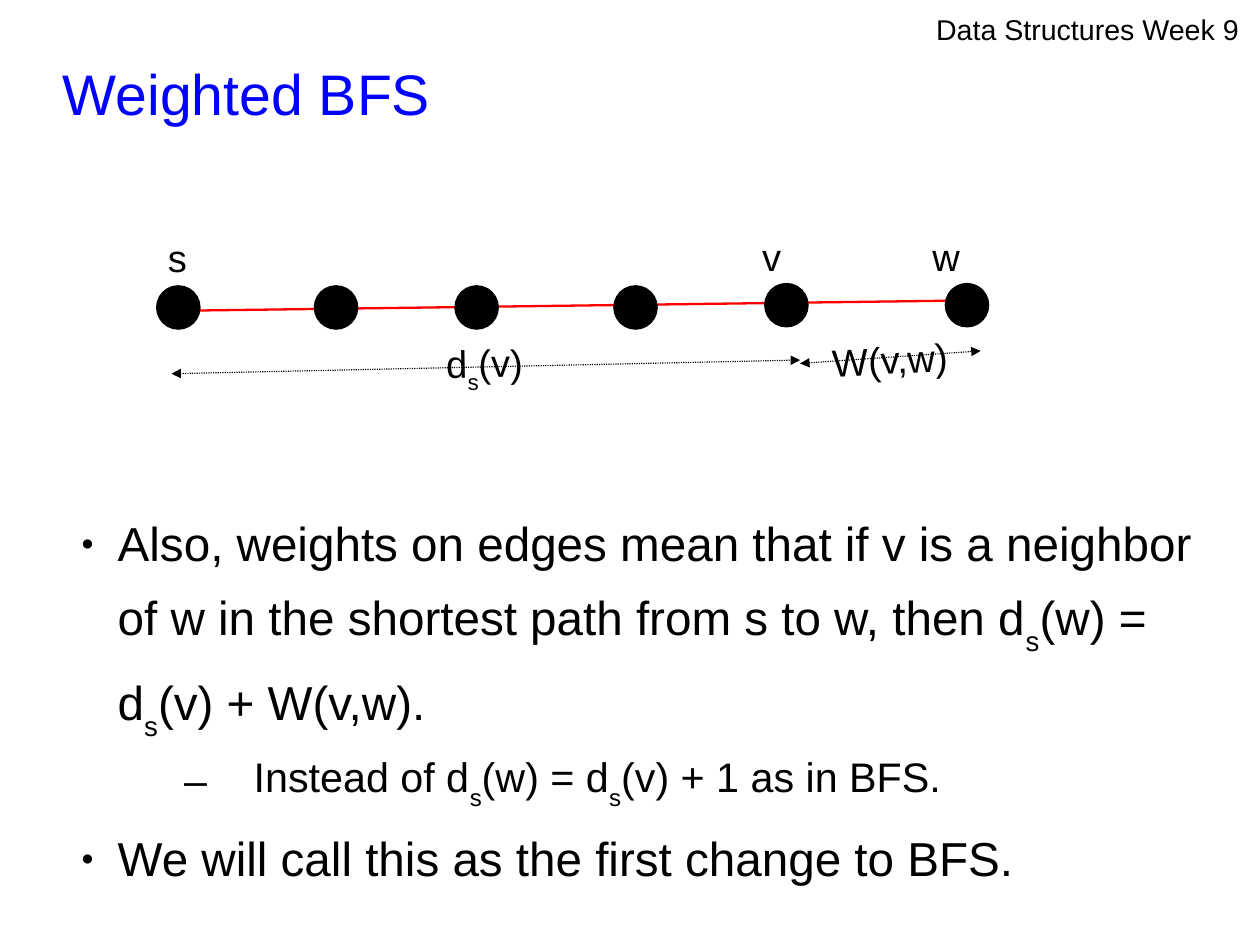
from pptx import Presentation
from pptx.dml.color import RGBColor
from pptx.enum.dml import MSO_LINE
from pptx.enum.shapes import MSO_CONNECTOR, MSO_SHAPE
from pptx.enum.text import MSO_ANCHOR, MSO_AUTO_SIZE, PP_ALIGN
from pptx.oxml.ns import qn
from pptx.util import Cm, Inches, Pt
from lxml import etree

BLACK = RGBColor(0, 0, 0)
BLUE = RGBColor(0, 0, 255)
RED = RGBColor(255, 0, 0)
STRAIGHT = MSO_CONNECTOR.STRAIGHT
ELLIPSE = MSO_SHAPE.OVAL
DOTTED = MSO_LINE.ROUND_DOT
LEFT, CENTER = PP_ALIGN.LEFT, PP_ALIGN.CENTER
TOP, MIDDLE = MSO_ANCHOR.TOP, MSO_ANCHOR.MIDDLE
FIXED = MSO_AUTO_SIZE.NONE
FONT = "Arial"
NODE_SIZE = 0.38


def write(paragraph, text, *, size=24, color=BLACK, align=LEFT, spacing=1.0, after=0):
    """Write text into a paragraph; the character after each underscore is a subscript."""
    paragraph.alignment = align
    paragraph.line_spacing = spacing
    paragraph.space_before = Pt(0)
    paragraph.space_after = Pt(after)
    first, *rest = text.split("_")
    pieces = [(first, False)]
    for part in rest:
        pieces += [(part[0], True), (part[1:], False)]
    for piece, lowered in pieces:
        run = paragraph.add_run()
        run.text = piece
        run.font.name = FONT
        run.font.size = Pt(size)
        run.font.color.rgb = color
        if lowered:
            run.font._element.set("baseline", "-33000")


def set_bullet(paragraph, mark, indent, hanging, percent):
    """Give a paragraph its bullet mark, size and hanging indent."""
    properties = paragraph._p.get_or_add_pPr()
    properties.set("marL", str(Inches(indent)))
    properties.set("indent", str(-Inches(hanging)))
    bullet_color = etree.SubElement(properties, qn("a:buClr"))
    etree.SubElement(bullet_color, qn("a:srgbClr"), val=str(BLACK))
    etree.SubElement(properties, qn("a:buSzPct"), val=str(percent * 1000))
    etree.SubElement(properties, qn("a:buFont"), typeface=FONT)
    etree.SubElement(properties, qn("a:buChar"), char=mark)


class PathSlide:
    """Holds the current slide and draws its elements in one style."""

    def __init__(self, slide):
        """Keep the slide to draw on."""
        self.slide = slide

    def frame(self, shape, anchor=TOP, inset_x=0.0, inset_y=0.0):
        """Prepare the text frame of a shape."""
        frame = shape.text_frame
        frame.word_wrap = True
        frame.auto_size = FIXED
        frame.vertical_anchor = anchor
        frame.margin_left = frame.margin_right = Inches(inset_x)
        frame.margin_top = frame.margin_bottom = Inches(inset_y)
        return frame

    def place(self, shape, left, top, width, height):
        """Move and size a placeholder."""
        shape.left, shape.top = Inches(left), Inches(top)
        shape.width, shape.height = Inches(width), Inches(height)

    def title(self, text):
        """Fill the title placeholder."""
        title = self.slide.shapes.title
        self.place(title, 0.55, 0.37, 9.89, 0.74)
        heading = self.frame(title, MIDDLE).paragraphs[0]
        write(heading, text, size=36, color=BLUE, spacing=1.24)

    def body(self, points):
        """Fill the body placeholder with (level, text) points."""
        body = self.slide.placeholders[1]
        self.place(body, 0.61, 4.38, 9.89, 3.62)
        frame = self.frame(body)
        for index, (level, text) in enumerate(points):
            point = frame.add_paragraph() if index else frame.paragraphs[0]
            point.level = level
            if level:
                write(point, text, size=26, after=2.9)
                set_bullet(point, "–", 1.61, 0.61, 100)
            else:
                write(point, text, size=30, spacing=1.24, after=5.8)
                set_bullet(point, "●", 0.42, 0.32, 45)

    def label(self, text, left, top, width, height, *, shapes=None, rotation=0,
              anchor=TOP, inset_x=0.1, inset_y=0.05, **style):
        """Add a text box."""
        shapes = shapes or self.slide.shapes
        box = shapes.add_textbox(Inches(left), Inches(top), Inches(width), Inches(height))
        box.rotation = rotation
        write(self.frame(box, anchor, inset_x, inset_y).paragraphs[0], text, **style)

    def line(self, start, end, color, width, shapes=None):
        """Add a straight line without a shadow."""
        shapes = shapes or self.slide.shapes
        line = shapes.add_connector(STRAIGHT, *map(Inches, start + end))
        line.line.color.rgb = color
        line.line.width = Pt(width)
        etree.SubElement(line._element.spPr, qn("a:effectLst"))
        return line

    def node(self, left, top):
        """Add a graph node."""
        node = self.slide.shapes.add_shape(
            ELLIPSE, Inches(left), Inches(top), Inches(NODE_SIZE), Inches(NODE_SIZE))
        node.shadow.inherit = False
        node.fill.solid()
        node.fill.fore_color.rgb = BLACK
        node.line.color.rgb = BLACK
        node.line.width = Pt(0.75)

    def distance(self, text, start, end, box, rotation):
        """Add a grouped two-headed dotted arrow with its label."""
        shapes = self.slide.shapes.add_group_shape().shapes
        arrow = self.line(start, end, BLACK, 0.75, shapes)
        arrow.line.dash_style = DOTTED
        outline = arrow.line._get_or_add_ln()
        for tip in ("a:headEnd", "a:tailEnd"):
            etree.SubElement(outline, qn(tip), type="triangle")
        self.label(text, *box, shapes=shapes, rotation=rotation, anchor=MIDDLE, align=CENTER)


def main():
    """Build and save the slide."""
    deck = Presentation()
    deck.slide_width, deck.slide_height = Cm(28), Cm(21)
    deck.element.sldSz.attrib.pop("type", None)
    page = PathSlide(deck.slides.add_slide(deck.slide_layouts[1]))
    page.title("Weighted BFS")
    page.body([
        (0, "Also, weights on edges mean that if v is a neighbor of w in the "
            "shortest path from s to w, then d_s(w) = d_s(v) + W(v,w)."),
        (1, "Instead of d_s(w) = d_s(v) + 1 as in BFS."),
        (0, "We will call this as the first change to BFS."),
    ])
    page.label("Data Structures Week 9", 8.19, 0.1, 2.7, 0.32,
               inset_x=0, inset_y=0, size=18)

    page.line((1.5, 2.72), (8.37, 2.63), RED, 1.45)
    for left, top in ((1.37, 2.5), (2.75, 2.5), (3.98, 2.5),
                      (5.37, 2.5), (6.69, 2.48), (8.27, 2.48)):
        page.node(left, top)
    for name, left, top in (("s", 1.37, 2), ("v", 6.57, 1.99), ("w", 8.06, 1.99)):
        page.label(name, left, top, 0.5, 0.5)

    page.distance("d_s(v)", (1.5, 3.27), (7, 3.15), (1.49, 2.92, 5.5, 0.58), -1)
    page.distance("W(v,w)", (7, 3.18), (8.58, 3.07), (6.99, 2.89, 1.59, 0.5), -3)
    deck.save("out.pptx")


if __name__ == "__main__":
    main()
